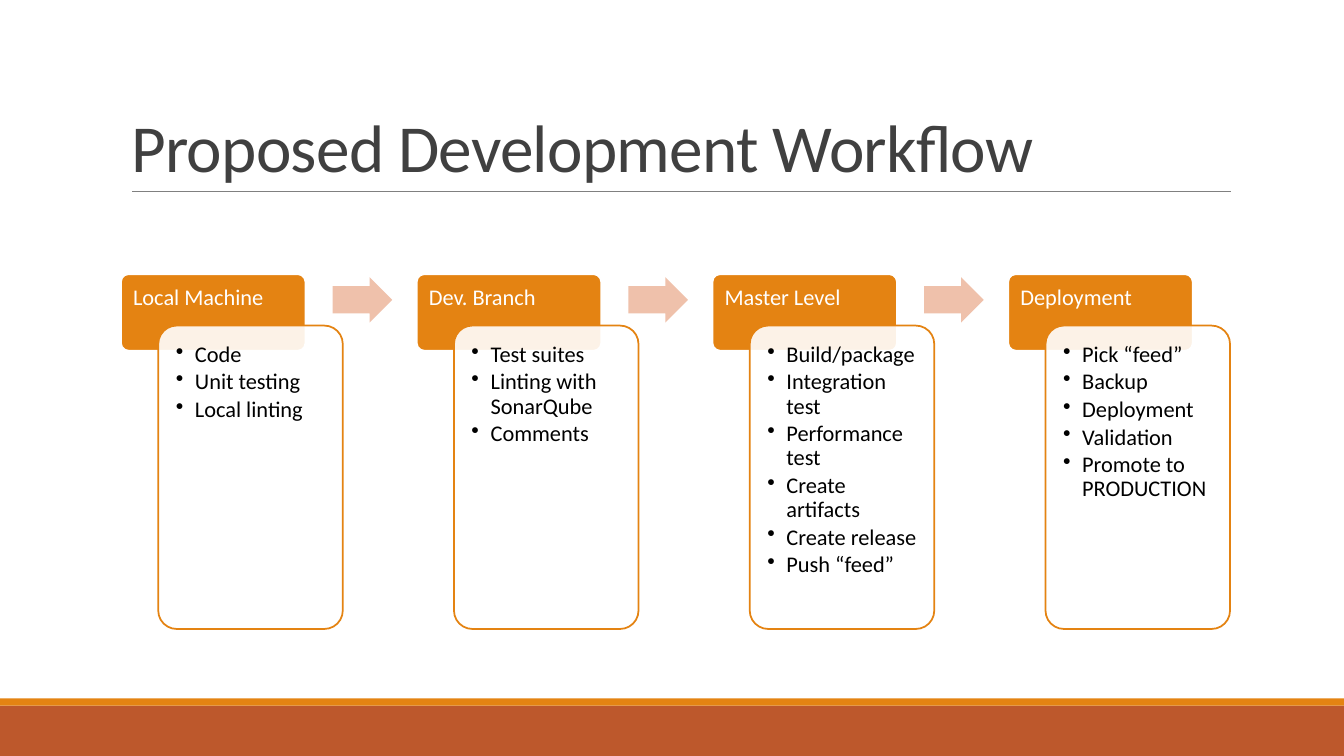
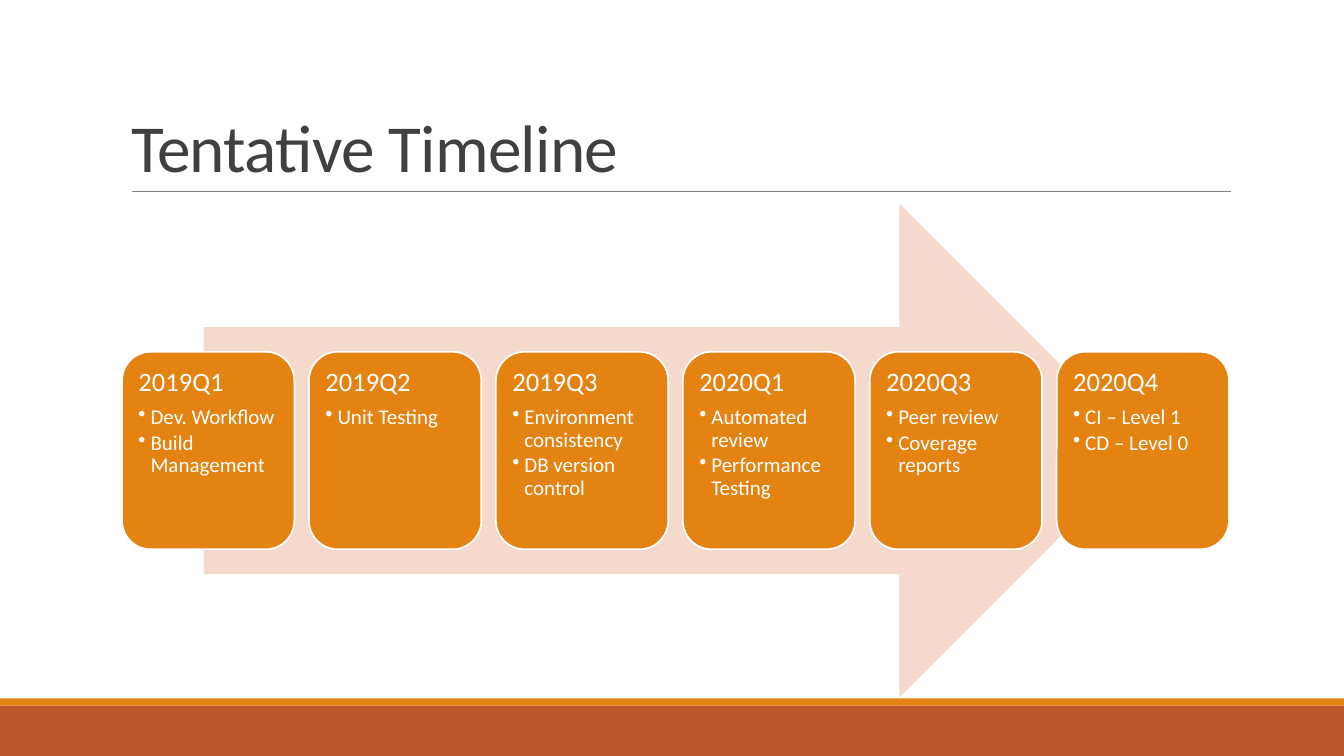
from dataclasses import dataclass

from lxml.etree import SubElement
from pptx import Presentation
from pptx.dml.color import RGBColor
from pptx.enum.shapes import MSO_CONNECTOR, MSO_SHAPE
from pptx.enum.text import MSO_ANCHOR, MSO_AUTO_SIZE, PP_ALIGN
from pptx.oxml.ns import qn
from pptx.util import Inches, Pt


@dataclass(frozen=True)
class Theme:
    font: str = "Calibri"
    orange: str = "E48312"
    rust: str = "BD582C"
    step_arrow: str = "EFC1AB"
    timeline_arrow: str = "F5D9CC"
    white: str = "FFFFFF"
    black: str = "000000"
    title_ink: str = "404040"
    rule: str = "808080"
    title_size: float = 48
    step_size: float = 16
    quarter_size: float = 19
    task_size: float = 15
    outline: float = 1.25


WORKFLOW = [
    ("Local Machine", ["Code", "Unit testing", "Local linting"]),
    ("Dev. Branch", ["Test suites", "Linting with SonarQube", "Comments"]),
    ("Master Level", ["Build/package", "Integration test", "Performance test",
                      "Create artifacts", "Create release", "Push “feed”"]),
    ("Deployment", ["Pick “feed”", "Backup", "Deployment", "Validation",
                    "Promote to PRODUCTION"]),
]

TIMELINE = [
    ("2019Q1", ["Dev. Workflow", "Build Management"]),
    ("2019Q2", ["Unit Testing"]),
    ("2019Q3", ["Environment consistency", "DB version control"]),
    ("2020Q1", ["Automated review", "Performance Testing"]),
    ("2020Q3", ["Peer review", "Coverage reports"]),
    ("2020Q4", ["CI – Level 1", "CD – Level 0"]),
]


class Deck:
    def __init__(self, theme):
        self.theme = theme
        self.presentation = Presentation()
        self.presentation.slide_width = Inches(13.33)
        self.presentation.slide_height = Inches(7.5)
        self.slide = None

    def new_slide(self, title):
        layout = self.presentation.slide_layouts[5]
        self.slide = self.presentation.slides.add_slide(layout)
        self.shape(MSO_SHAPE.RECTANGLE, 0, 7, 13.33, 0.5, self.theme.rust)
        self.shape(MSO_SHAPE.RECTANGLE, 0, 6.93, 13.33, 0.07, self.theme.orange)
        self.rule(1.31, 12.21, 1.9)
        self.title(title)

    def title(self, text):
        heading = self.slide.shapes.title
        heading.left, heading.top = Inches(1.2), Inches(0.31)
        heading.width, heading.height = Inches(11), Inches(1.59)
        frame = heading.text_frame
        frame.auto_size = MSO_AUTO_SIZE.NONE
        frame.word_wrap = True
        frame.vertical_anchor = MSO_ANCHOR.BOTTOM
        run = self.add_text(frame.paragraphs[0], text, self.theme.title_size,
                            self.theme.title_ink, spacing=0.85)
        run.font._element.set("spc", "-50")

    def rule(self, left, right, y):
        line = self.slide.shapes.add_connector(
            MSO_CONNECTOR.STRAIGHT, Inches(left), Inches(y), Inches(right), Inches(y))
        line.line.color.rgb = RGBColor.from_string(self.theme.rule)
        line.line.width = Pt(0.5)
        SubElement(line._element.spPr, qn("a:effectLst"))

    def shape(self, kind, left, top, width, height, fill,
              outline=None, adjustments=(), opacity=None):
        shape = self.slide.shapes.add_shape(
            kind, Inches(left), Inches(top), Inches(width), Inches(height))
        shape.shadow.inherit = False
        shape.fill.solid()
        shape.fill.fore_color.rgb = RGBColor.from_string(fill)
        if opacity is not None:
            color = shape._element.spPr.find(qn("a:solidFill")).find(qn("a:srgbClr"))
            SubElement(color, qn("a:alpha"), val=str(opacity * 1000))
        if outline:
            shape.line.color.rgb = RGBColor.from_string(outline)
            shape.line.width = Pt(self.theme.outline)
        else:
            shape.line.fill.background()
        for index, value in enumerate(adjustments):
            shape.adjustments[index] = value
        return shape

    def frame(self, shape, inset):
        frame = shape.text_frame
        frame.word_wrap = True
        frame.vertical_anchor = MSO_ANCHOR.TOP
        frame.margin_left = frame.margin_right = Inches(inset)
        frame.margin_top = frame.margin_bottom = Inches(inset)
        return frame

    def add_text(self, paragraph, text, size, color, spacing=0.9, after=0):
        paragraph.alignment = PP_ALIGN.LEFT
        paragraph.line_spacing = spacing
        paragraph.space_after = Pt(after)
        run = paragraph.add_run()
        run.text = text
        run.font.name = self.theme.font
        run.font.size = Pt(size)
        run.font.color.rgb = RGBColor.from_string(color)
        return run

    def bullets(self, frame, items, size, color, indent):
        for item in items:
            first = frame.paragraphs[0]
            paragraph = frame.add_paragraph() if first.runs else first
            properties = paragraph._p.get_or_add_pPr()
            properties.set("marL", str(Inches(indent)))
            properties.set("indent", str(-Inches(indent)))
            SubElement(properties, qn("a:buChar"), char="•")
            self.add_text(paragraph, item, size, color, after=round(size * 0.15, 1))

    def step(self, left, name, tasks):
        theme = self.theme
        header = self.shape(MSO_SHAPE.ROUNDED_RECTANGLE, left, 2.72, 1.83, 0.76,
                            theme.orange, theme.white, [0.1])
        self.add_text(self.frame(header, 0.1).paragraphs[0], name,
                      theme.step_size, theme.white)
        card = self.shape(MSO_SHAPE.ROUNDED_RECTANGLE, left + 0.37, 3.23, 1.83, 3.01,
                          theme.white, theme.orange, [0.1], opacity=90)
        self.bullets(self.frame(card, 0.12), tasks, theme.step_size, theme.black, 0.19)

    def step_arrow(self, left):
        self.shape(MSO_SHAPE.RIGHT_ARROW, left, 2.75, 0.59, 0.45,
                   self.theme.step_arrow, adjustments=[0.6, 0.5])

    def milestone(self, left, quarter, tasks):
        theme = self.theme
        card = self.shape(MSO_SHAPE.ROUNDED_RECTANGLE, left, 3.49, 1.71, 1.96,
                          theme.orange, theme.white)
        frame = self.frame(card, 0.08)
        self.add_text(frame.paragraphs[0], quarter, theme.quarter_size, theme.white,
                      after=6.6)
        self.bullets(frame, tasks, theme.task_size, theme.white, 0.12)

    def save(self):
        self.presentation.save("out.pptx")


def main():
    deck = Deck(Theme())

    deck.new_slide("Proposed Development Workflow")
    step_pitch = 8.8 / (len(WORKFLOW) - 1)
    for index, (name, tasks) in enumerate(WORKFLOW):
        left = 1.2 + index * step_pitch
        deck.step(left, name, tasks)
        if index < len(WORKFLOW) - 1:
            deck.step_arrow(left + 2.1)

    deck.new_slide("Tentative Timeline")
    deck.shape(MSO_SHAPE.RIGHT_ARROW, 2.02, 2.02, 9.35, 4.9, deck.theme.timeline_arrow)
    quarter_pitch = 9.27 / (len(TIMELINE) - 1)
    for index, (quarter, tasks) in enumerate(TIMELINE):
        deck.milestone(1.21 + index * quarter_pitch, quarter, tasks)

    deck.save()


if __name__ == "__main__":
    main()
